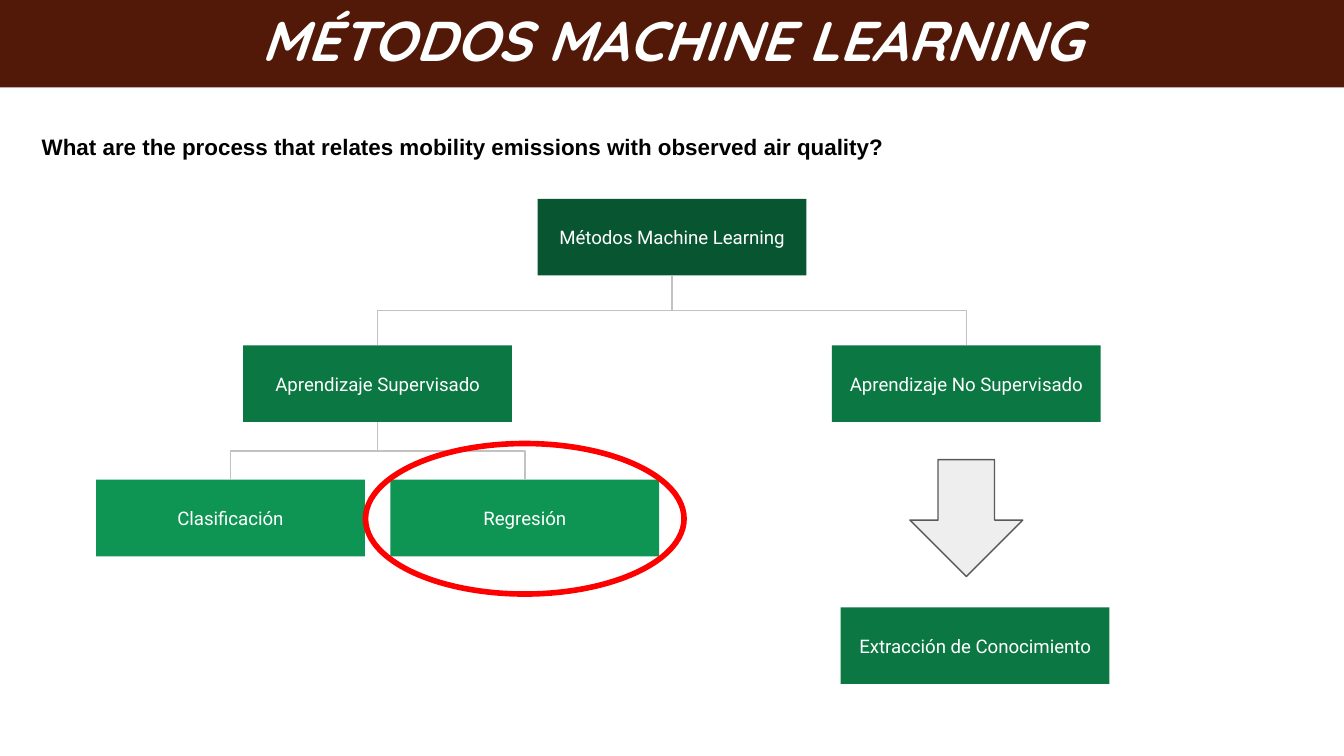
"""Build a slide with a tree of machine learning methods."""
from lxml import etree
from pptx import Presentation
from pptx.dml.color import RGBColor
from pptx.enum.shapes import MSO_CONNECTOR, MSO_SHAPE
from pptx.enum.text import MSO_ANCHOR, MSO_AUTO_SIZE, PP_ALIGN
from pptx.oxml.ns import qn
from pptx.util import Inches, Pt

ELBOW = MSO_CONNECTOR.ELBOW
RECT, OVAL, ARROW = MSO_SHAPE.RECTANGLE, MSO_SHAPE.OVAL, MSO_SHAPE.DOWN_ARROW
TOP, MIDDLE = MSO_ANCHOR.TOP, MSO_ANCHOR.MIDDLE
LEFT, CENTER = PP_ALIGN.LEFT, PP_ALIGN.CENTER
FIXED = MSO_AUTO_SIZE.NONE

BROWN = RGBColor(0x52, 0x18, 0x08)
DARK = RGBColor(0x08, 0x56, 0x31)
GREEN = RGBColor(0x0B, 0x77, 0x43)
LIGHT = RGBColor(0x0E, 0x94, 0x53)
SILVER = RGBColor(0xC2, 0xC2, 0xC2)
PALE = RGBColor(0xEE, 0xEE, 0xEE)
GRAY = RGBColor(0x59, 0x59, 0x59)
RED = RGBColor(0xFF, 0, 0)
WHITE = RGBColor(0xFF, 0xFF, 0xFF)
CREAM = RGBColor(0xFE, 0xFF, 0xFF)
BLACK = RGBColor(0, 0, 0)

TITLE = "MÉTODOS MACHINE LEARNING"
QUERY = "What are the process that relates mobility emissions with observed air quality?"
# name: (text, column from the centre, row, fill)
NODES = {
    "root": ("Métodos Machine Learning", 0, 0, DARK),
    "known": ("Aprendizaje Supervisado", -2, 1, GREEN),
    "free": ("Aprendizaje No Supervisado", 2, 1, GREEN),
    "value": ("Regresión", -1, 2, LIGHT),
    "class": ("Clasificación", -3, 2, LIGHT),
    "gain": ("Extracción de Conocimiento", 2.06, 3, GREEN),
}
LINKS = [("root", "free"), ("root", "known"), ("known", "value"), ("known", "class")]

WIDE = 10
HIGH = WIDE * 9 / 16
ROWS = [1.48, 2.57, 3.57, 4.52]
BOX_W, BOX_H, GAP = 2, 0.57, 0.19
STEP = (BOX_W + GAP) / 2


def write(shape, text, size, font, color, bold=False, slant=False,
          align=CENTER, anchor=MIDDLE, pad=(0.1, 0.1)):
    frame = shape.text_frame
    frame.word_wrap, frame.auto_size = True, FIXED
    frame.vertical_anchor = anchor
    frame.margin_left = frame.margin_right = Inches(pad[0])
    frame.margin_top = frame.margin_bottom = Inches(pad[1])
    line = frame.paragraphs[0]
    line.alignment = align
    run = line.add_run()
    run.text = text
    run.font.size, run.font.name = Pt(size), font
    run.font.bold, run.font.italic = bold, slant
    run.font.color.rgb = color


def place(shape, left, top, width, height):
    shape.left, shape.top = Inches(left), Inches(top)
    shape.width, shape.height = Inches(width), Inches(height)


def draw(slide, kind, mid, top, width, height, fill=None, edge=None, weight=0.75):
    shape = slide.shapes.add_shape(kind, *map(Inches, (mid - width / 2, top, width, height)))
    shape.shadow.inherit = False
    if fill is None:
        shape.fill.background()
    else:
        shape.fill.solid()
        shape.fill.fore_color.rgb = fill
    if edge is None:
        shape.line.fill.background()
    else:
        shape.line.color.rgb = edge
        shape.line.width = Pt(weight)
    return shape


def spot(name):
    _, col, row, _ = NODES[name]
    return WIDE / 2 + col * STEP, ROWS[row]


def link(slide, head, child):
    x1, y1 = spot(head)
    x2, y2 = spot(child)
    y1 += BOX_H
    mid_x, mid_y = (x1 + x2) / 2, (y1 + y2) / 2
    right = x2 > x1
    across = (y2 - y1) / 2 * (-1 if right else 1)
    down = abs(x2 - x1) / 2
    ends = mid_x - across, mid_y - down, mid_x + across, mid_y + down
    wire = slide.shapes.add_connector(ELBOW, *map(Inches, ends))
    wire.line.color.rgb = SILVER
    wire.line.width = Pt(0.75)
    props = wire._element.spPr
    props.find(qn("a:xfrm")).set("rot", str((270 if right else 90) * 60000))
    etree.SubElement(props, qn("a:effectLst"))


def main():
    deck = Presentation()
    deck.slide_width, deck.slide_height = Inches(WIDE), Inches(HIGH)
    slide = deck.slides.add_slide(deck.slide_layouts[5])

    title = slide.shapes.title
    place(title, 0, 0, WIDE, 0.65)
    title.fill.solid()
    title.fill.fore_color.rgb = BROWN
    write(title, TITLE, 30, "Quicksand", CREAM, bold=True, slant=True,
          anchor=TOP, pad=(0.07, 0.04))

    query = slide.shapes.add_textbox(*map(Inches, (0.24, 0.92, 7.15, 0.35)))
    write(query, QUERY, 12, "Arial", BLACK, bold=True, align=LEFT,
          anchor=TOP, pad=(0.07, 0.07))

    for name, (text, _, _, fill) in NODES.items():
        box = draw(slide, RECT, *spot(name), BOX_W, BOX_H, fill)
        write(box, text, 10, "Roboto", WHITE)
    for pair in LINKS:
        link(slide, *pair)

    draw(slide, ARROW, spot("free")[0], 3.42, 0.84, 0.87, PALE, GRAY)
    draw(slide, OVAL, spot("value")[0], 3.3, 2.37, 1.12, edge=RED, weight=3)
    deck.save("out.pptx")


if __name__ == "__main__":
    main()
